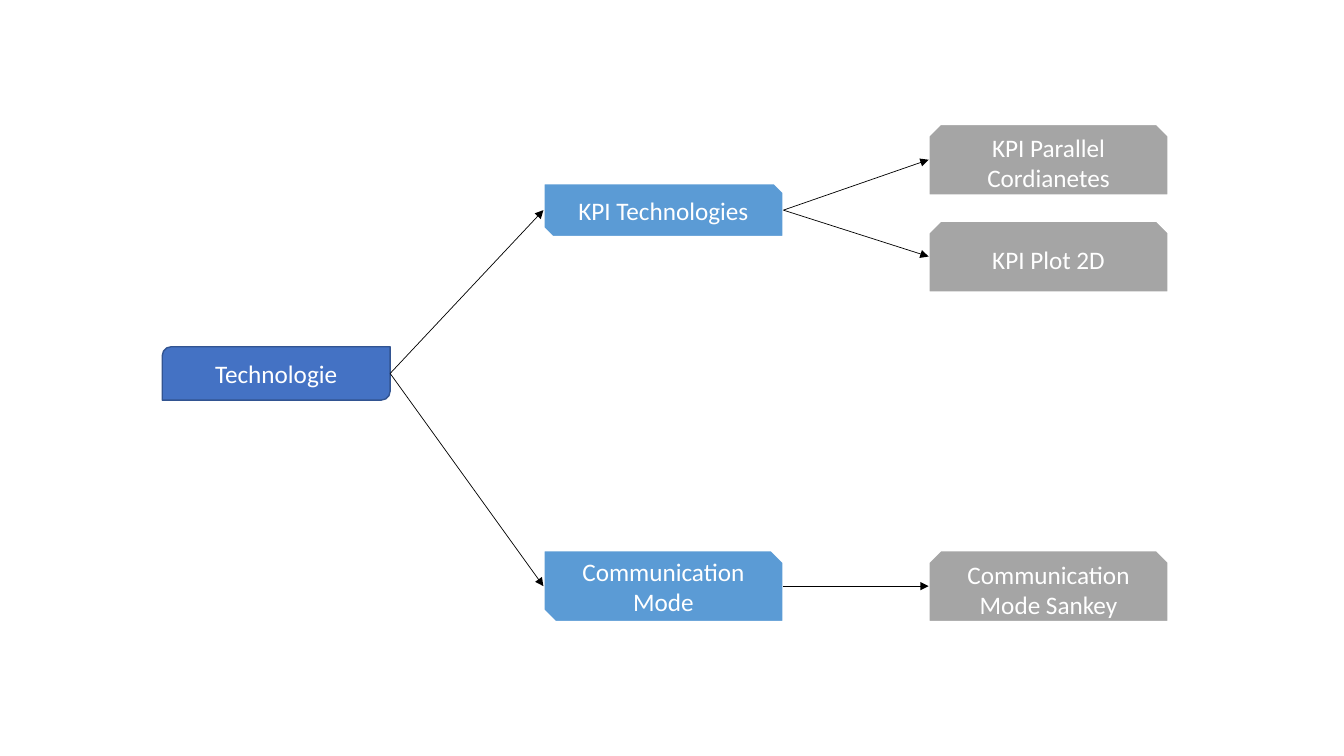
import pptx
import pptx.util
import pptx.dml.color
import pptx.enum.shapes
import pptx.enum.text
import pptx.oxml
import pptx.oxml.ns

Inches, Pt = pptx.util.Inches, pptx.util.Pt
RGB = pptx.dml.color.RGBColor
SHAPE = pptx.enum.shapes.MSO_SHAPE

WHITE, BLACK = RGB(255, 255, 255), RGB(0, 0, 0)
BLUE, NAVY = RGB(0x44, 0x72, 0xC4), RGB(0x32, 0x54, 0x91)
SKY, GREY = RGB(0x5B, 0x9B, 0xD5), RGB(0xA5, 0xA5, 0xA5)

# Level: left, width, preset, fill, line colour, line width
LEVELS = [
    (1.61, 2.26, SHAPE.ROUND_2_DIAG_RECTANGLE, BLUE, NAVY, 1),
    (5.39, 2.38, SHAPE.SNIP_2_DIAG_RECTANGLE, SKY, WHITE, 1.5),
    (9.21, 2.38, SHAPE.SNIP_2_SAME_RECTANGLE, GREY, WHITE, 1.5),
]
# Node: text, level, top, height, parent
NODES = [
    ("Technologie", 0, 3.44, 0.53, None),
    ("KPI Technologies", 1, 1.82, 0.53, "Technologie"),
    ("Communication Mode", 1, 5.46, 0.71, "Technologie"),
    ("KPI Parallel Cordianetes", 2, 1.23, 0.71, "KPI Technologies"),
    ("KPI Plot 2D", 2, 2.19, 0.71, "KPI Technologies"),
    ("Communication Mode Sankey", 2, 5.46, 0.71, "Communication Mode"),
]
# These presets number their connection sites from the right, clockwise
RIGHT, LEFT = 0, 2


def add_node(slide, text, level, top, height):
    left, width, kind, fill, edge, weight = LEVELS[level]
    box = slide.shapes.add_shape(
        kind, Inches(left), Inches(top), Inches(width), Inches(height))
    box.shadow.inherit = False
    box.fill.solid()
    box.fill.fore_color.rgb = fill
    box.line.color.rgb = edge
    box.line.width = Pt(weight)
    frame = box.text_frame
    frame.text = text
    frame.word_wrap = True
    frame.vertical_anchor = pptx.enum.text.MSO_ANCHOR.MIDDLE
    para = frame.paragraphs[0]
    para.alignment = pptx.enum.text.PP_ALIGN.CENTER
    font = para.runs[0].font
    font.name, font.size = "Calibri", Pt(18)
    font.color.rgb = WHITE
    return box


def add_arrow(slide, start, end):
    """Join the right side of start to the left side of end."""
    x1, y1 = start.left + start.width, start.top + start.height // 2
    x2, y2 = end.left, end.top + end.height // 2
    arrow = slide.shapes.add_connector(
        pptx.enum.shapes.MSO_CONNECTOR.STRAIGHT, x1, y1, x2, y2)
    arrow.begin_connect(start, RIGHT)
    arrow.end_connect(end, LEFT)
    # Joining assumes a plain rectangle's sites, so set the ends again
    arrow.begin_x, arrow.begin_y = x1, y1
    arrow.end_x, arrow.end_y = x2, y2
    arrow.line.color.rgb = BLACK
    arrow.line.width = Pt(0.5)
    qn = pptx.oxml.ns.qn
    line = arrow.line._get_or_add_ln()
    line.append(line.makeelement(qn("a:tailEnd"), {"type": "triangle"}))
    props = arrow._element.spPr
    props.append(props.makeelement(qn("a:effectLst"), {}))


def main():
    deck = pptx.Presentation()
    deck.slide_width, deck.slide_height = Inches(13.33), Inches(7.5)
    slide = deck.slides.add_slide(deck.slide_layouts[6])
    boxes = {}
    for text, level, top, height, _ in NODES:
        boxes[text] = add_node(slide, text, level, top, height)
    for text, *_, parent in NODES:
        if parent:
            add_arrow(slide, boxes[parent], boxes[text])
    deck.save("out.pptx")


if __name__ == "__main__":
    main()
